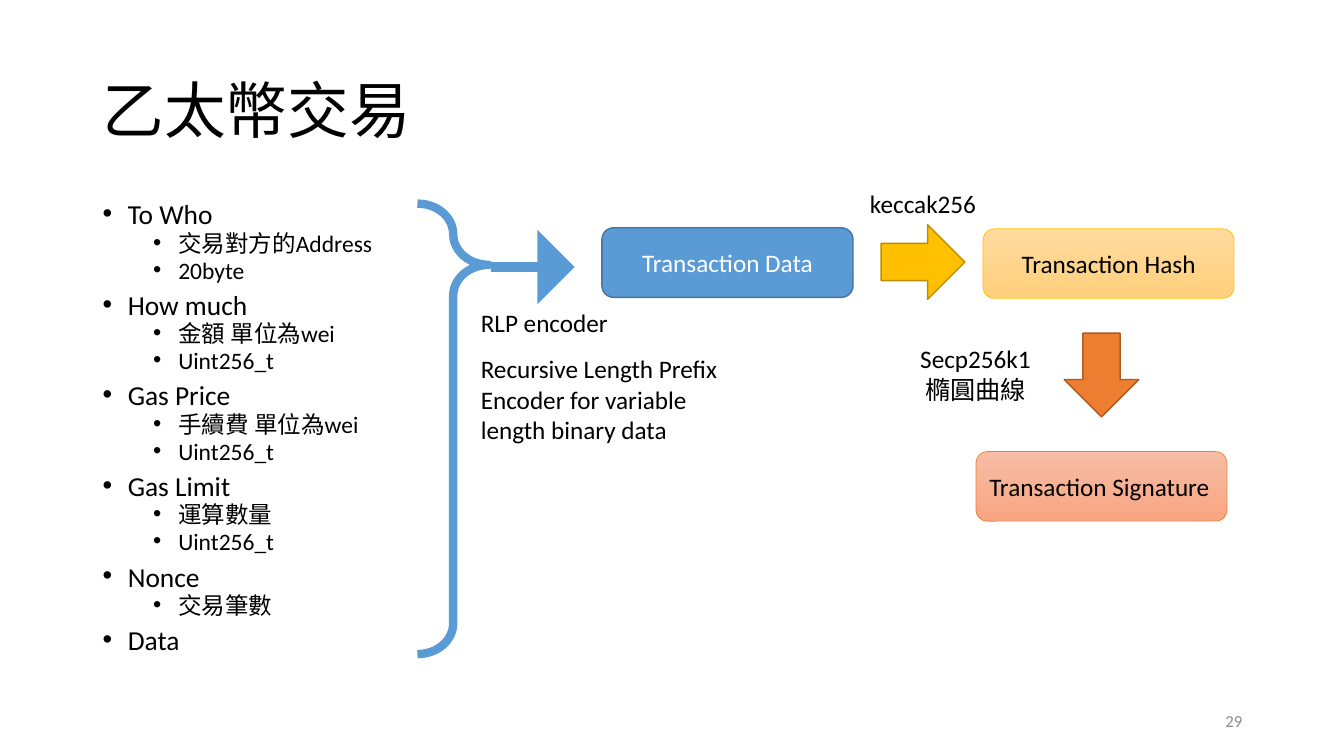
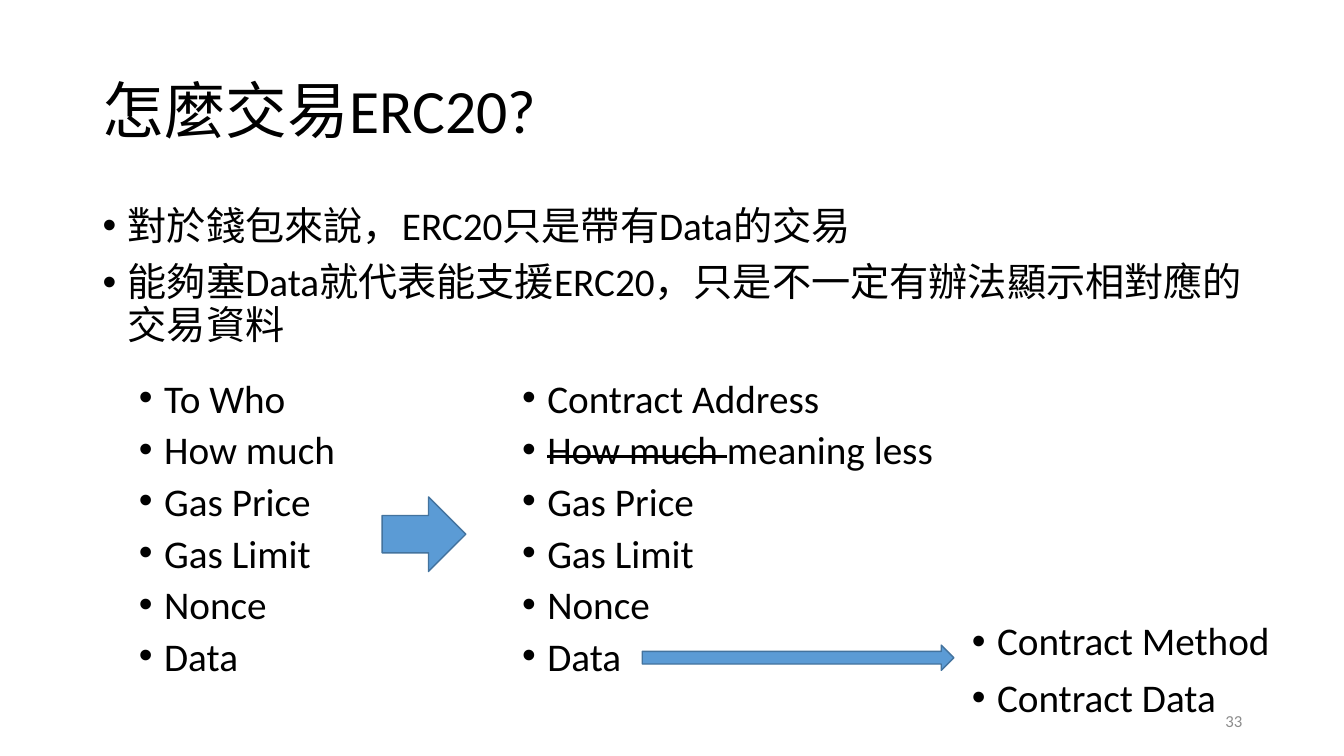
from lxml import etree
from pptx import Presentation
from pptx.dml.color import RGBColor
from pptx.enum.shapes import MSO_SHAPE as Shape
from pptx.enum.text import MSO_ANCHOR as Anchor, PP_ALIGN as Align
from pptx.oxml.ns import qn
from pptx.util import Inches, Pt

# Shared style
FONT = "Calibri"
BLACK, WHITE, GRAY = "000000", "FFFFFF", "8C8C8C"
BLUE, BLUE_EDGE = "5B9BD5", "43739E"
GOLD, GOLD_EDGE = "FFC000", "BD8E00"
ORANGE, ORANGE_EDGE = "ED7D31", "AF5C24"
ARROW_SIZE = (0.83, 0.74)
BOX_SIZE = (2.49, 0.69)
INDENT = 0.25


def rgb(color):
    return RGBColor.from_string(color)


def format_runs(paragraph, size, color=BLACK):
    for run in paragraph.runs:
        run.font.name = FONT
        run.font.size = Pt(size)
        run.font.color.rgb = rgb(color)


def add_text(slide, box, lines, size=18, color=BLACK, align=Align.LEFT,
             anchor=Anchor.TOP):
    frame = slide.shapes.add_textbox(*map(Inches, box)).text_frame
    frame.word_wrap = True
    frame.vertical_anchor = anchor
    frame.text = "\n".join(lines)
    for paragraph in frame.paragraphs:
        paragraph.alignment = align
        format_runs(paragraph, size, color)
    return frame


def add_bullet(paragraph, level):
    properties = paragraph._p.get_or_add_pPr()
    properties.set("marL", str(Inches(INDENT + 0.5 * level)))
    properties.set("indent", str(Inches(-INDENT)))
    etree.SubElement(properties, qn("a:buFont")).set("typeface", "Arial")
    etree.SubElement(properties, qn("a:buChar")).set("char", "•")


def add_bullets(slide, box, items, sizes=(28,), spacing=0.9):
    """Items are (text, level) pairs; sizes holds one text size per level."""
    frame = add_text(slide, box, [text for text, _ in items])
    for index, (paragraph, (_, level)) in enumerate(zip(frame.paragraphs, items)):
        add_bullet(paragraph, level)
        paragraph.level = level
        paragraph.line_spacing = spacing
        paragraph.space_before = Pt((10, 5)[level] if index else 0)
        format_runs(paragraph, sizes[level])
    return frame


def top_level(texts):
    return [(text, 0) for text in texts]


def add_shape(slide, kind, box, fill=None, edge=None, edge_width=1):
    shape = slide.shapes.add_shape(kind, *map(Inches, box))
    shape.shadow.inherit = False
    if fill is None:
        shape.fill.background()
    elif isinstance(fill, tuple):
        shape.fill.gradient()
        shape.fill.gradient_angle = 270
        for stop, color in zip(shape.fill.gradient_stops, fill):
            stop.color.rgb = rgb(color)
    else:
        shape.fill.solid()
        shape.fill.fore_color.rgb = rgb(fill)
    if edge is None:
        shape.line.fill.background()
    else:
        shape.line.color.rgb = rgb(edge)
        shape.line.width = Pt(edge_width)
    return shape


def add_arrow(slide, left, top, fill, edge=None, size=ARROW_SIZE):
    return add_shape(slide, Shape.RIGHT_ARROW, (left, top, *size), fill, edge)


def add_box(slide, left, top, text, fill, edge, edge_width=0.5, color=BLACK,
            align=Align.CENTER):
    shape = add_shape(slide, Shape.ROUNDED_RECTANGLE, (left, top, *BOX_SIZE),
                      fill, edge, edge_width)
    frame = shape.text_frame
    frame.text = text
    frame.vertical_anchor = Anchor.MIDDLE
    paragraph = frame.paragraphs[0]
    paragraph.alignment = align
    format_runs(paragraph, 18, color)


def new_slide(presentation, title, number):
    slide = presentation.slides.add_slide(presentation.slide_layouts[6])
    frame = add_text(slide, (0.92, 0.4, 11.5, 1.45), [title], 44,
                     anchor=Anchor.MIDDLE)
    frame.paragraphs[0].line_spacing = 0.9
    add_text(slide, (9.42, 6.95, 3, 0.4), [number], 12, GRAY, Align.RIGHT,
             Anchor.MIDDLE)
    return slide


def build_transaction(presentation, fields):
    slide = new_slide(presentation, "乙太幣交易", "29")

    # Transaction fields with their details
    items = []
    for field, details in fields.items():
        items.append((field, 0))
        items += [(detail, 1) for detail in details]
    add_bullets(slide, (0.92, 2, 3.2, 4.76), items, (19.6, 16.8), 0.7)
    brace = add_shape(slide, Shape.RIGHT_BRACE, (4.14, 2.02, 0.71, 4.47),
                      edge=BLUE, edge_width=6)
    brace.adjustments[0] = 0.88
    brace.adjustments[1] = 0.136

    # Encoding step
    encoder_arrow = add_arrow(slide, 4.87, 2.28, BLUE)
    encoder_arrow.adjustments[0] = 0.13
    add_text(slide, (4.67, 3, 1.55, 0.4), ["RLP encoder"])
    add_text(slide, (4.67, 3.46, 2.92, 1.01),
             ["Recursive Length Prefix", "Encoder for variable length binary data"])
    add_box(slide, 5.97, 2.26, "Transaction Data", BLUE, BLUE_EDGE, 1, WHITE)

    # Hash step
    add_arrow(slide, 8.74, 2.23, GOLD, GOLD_EDGE)
    add_text(slide, (8.53, 1.82, 1.32, 0.4), ["keccak256"])
    add_box(slide, 9.75, 2.27, "Transaction Hash", ("FFDB9E", "FFD07C"), GOLD)

    # Signature step
    add_arrow(slide, 10.51, 3.35, ORANGE, ORANGE_EDGE).rotation = 90
    add_text(slide, (8.97, 3.36, 1.41, 0.71), ["Secp256k1", "橢圓曲線"],
             align=Align.CENTER)
    add_box(slide, 9.68, 4.48, "Transaction Signature", ("F7BDA5", "F8A582"),
            ORANGE, align=Align.LEFT)


def build_token(presentation, fields):
    slide = new_slide(presentation, "怎麼交易ERC20?", "33")
    add_bullets(slide, (0.92, 2, 11.5, 1.55), top_level([
        "對於錢包來說，ERC20只是帶有Data的交易",
        "能夠塞Data就代表能支援ERC20，只是不一定有辦法顯示相對應的交易資料",
    ]))

    # Plain fields beside the contract fields
    names = list(fields)
    add_bullets(slide, (1.28, 3.75, 3.72, 3.1), top_level(names), spacing=0.8)
    add_arrow(slide, 3.79, 4.93, BLUE, BLUE_EDGE)
    contract_names = ["Contract Address", "How much "] + names[2:]
    contract = add_bullets(slide, (5.08, 3.75, 4.6, 3.1),
                           top_level(contract_names), spacing=0.8)

    # Struck-out amount
    amount = contract.paragraphs[1]
    amount.runs[0]._r.get_or_add_rPr().set("strike", "sngStrike")
    amount.add_run().text = "meaning less"
    format_runs(amount, 28)

    # Contents of the data field
    add_arrow(slide, 6.37, 6.4, BLUE, BLUE_EDGE, (3.09, 0.25))
    add_bullets(slide, (9.54, 6.12, 3.31, 1.23),
                top_level(["Contract Method", "Contract Data"]))


def main():
    presentation = Presentation()
    presentation.slide_width = Inches(13.33)
    presentation.slide_height = Inches(7.5)
    fields = {
        "To Who": ["交易對方的Address", "20byte"],
        "How much": ["金額 單位為wei", "Uint256_t"],
        "Gas Price": ["手續費 單位為wei", "Uint256_t"],
        "Gas Limit": ["運算數量", "Uint256_t"],
        "Nonce": ["交易筆數"],
        "Data": [],
    }
    build_transaction(presentation, fields)
    build_token(presentation, fields)
    presentation.save("out.pptx")


if __name__ == "__main__":
    main()
